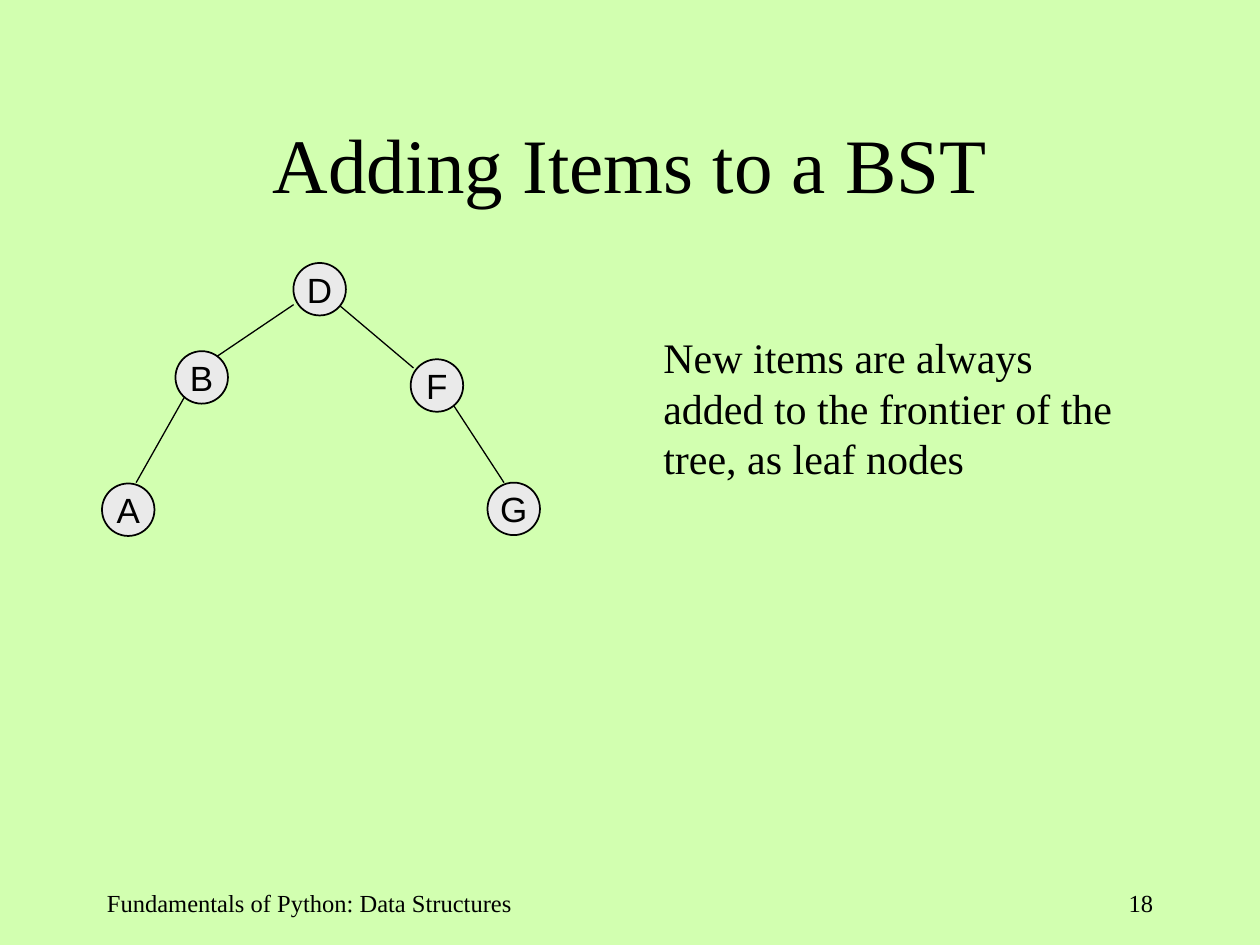
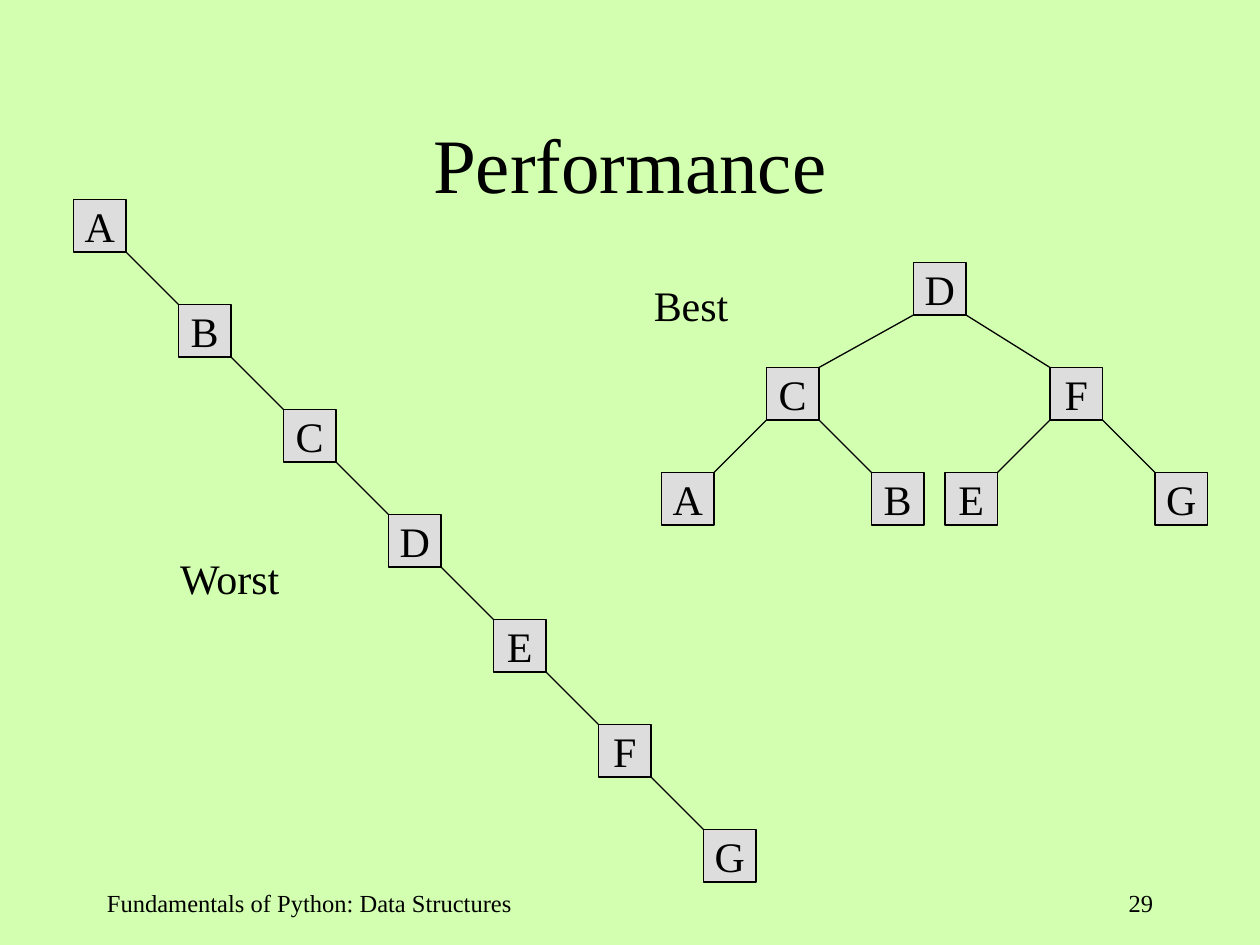
"""Two slides on binary search trees: adding items, and best and worst shapes."""
from dataclasses import dataclass

from lxml import etree
from pptx import Presentation
from pptx.dml.color import RGBColor
from pptx.enum import shapes, text
from pptx.oxml import ns
from pptx.util import Pt


@dataclass(frozen=True)
class Theme:
    """Colours, fonts and sizes shared by the slides."""
    paper: RGBColor = RGBColor(0xD2, 0xFF, 0xB0)
    ink: RGBColor = RGBColor(0, 0, 0)
    circle: RGBColor = RGBColor(0xEA, 0xEA, 0xEA)
    square: RGBColor = RGBColor(0xDD, 0xDD, 0xDD)
    serif: str = "Times New Roman"
    sans: str = "Arial"
    title: float = 44
    body: float = 24
    circle_text: float = 20
    footer: float = 14
    line: float = 0.75
    circle_line: float = 1
    node: float = 30


T = Theme()
LEFT, CENTER, RIGHT = (text.PP_ALIGN.LEFT, text.PP_ALIGN.CENTER,
                       text.PP_ALIGN.RIGHT)
MIDDLE = text.MSO_ANCHOR.MIDDLE


def write(tf, words, size, font=T.serif, align=LEFT):
    """Put one formatted run in the first paragraph of a text frame."""
    p = tf.paragraphs[0]
    p.alignment = align
    r = p.add_run()
    r.text = words
    r.font.name, r.font.size = font, Pt(size)
    r.font.color.rgb = T.ink


def add_text(s, box, words, size=T.body, align=LEFT, wrap=True):
    """Add a text box at box = (left, top, width, height)."""
    tf = s.shapes.add_textbox(*map(Pt, box)).text_frame
    tf.word_wrap = wrap
    write(tf, words, size, align=align)


def add_title(s, box, words):
    """Move and format the title placeholder."""
    sp = s.shapes.title
    sp.left, sp.top, sp.width, sp.height = map(Pt, box)
    tf = sp.text_frame
    tf.auto_size = text.MSO_AUTO_SIZE.NONE
    tf.vertical_anchor = MIDDLE
    write(tf, words, T.title, align=CENTER)


def add_footer(s, box, number):
    """Place the book title at the left and the page number at the right."""
    x, y, w, h = box
    number_w = 150
    add_text(s, (x, y, 276, h), "Fundamentals of Python: Data Structures",
             T.footer)
    add_text(s, (x + w - number_w, y, number_w, h), number, T.footer, RIGHT)


def add_edge(s, start, end):
    """Draw a thin straight edge between two points."""
    c = s.shapes.add_connector(shapes.MSO_CONNECTOR.STRAIGHT,
                               *map(Pt, (*start, *end)))
    c.line.color.rgb, c.line.width = T.ink, Pt(T.line)
    etree.SubElement(c._element.spPr, ns.qn("a:effectLst"))


def add_node(s, at, letter, round_node=False):
    """Draw a lettered tree node, a circle or a square."""
    kind, fill, line, size, font = (
        (shapes.MSO_SHAPE.OVAL, T.circle, T.circle_line, T.circle_text, T.sans)
        if round_node else
        (shapes.MSO_SHAPE.RECTANGLE, T.square, T.line, T.body, T.serif))
    sp = s.shapes.add_shape(kind, *map(Pt, (*at, T.node, T.node)))
    sp.shadow.inherit = False
    sp.fill.solid()
    sp.fill.fore_color.rgb = fill
    sp.line.color.rgb, sp.line.width = T.ink, Pt(line)
    tf = sp.text_frame
    tf.word_wrap = False
    tf.vertical_anchor = MIDDLE
    tf.margin_left = tf.margin_right = tf.margin_top = tf.margin_bottom = 0
    write(tf, letter, size, font, CENTER)


def shift(origin, point):
    """Move a point from tree to slide coordinates."""
    return origin[0] + point[0], origin[1] + point[1]


def circle_tree(s, origin, nodes, edges):
    """Draw edges between given points, then round nodes over them."""
    for start, end in edges:
        add_edge(s, shift(origin, start), shift(origin, end))
    for letter, at in nodes.items():
        add_node(s, shift(origin, at), letter, round_node=True)


def square_tree(s, origin, nodes, links):
    """Draw square nodes, joining parent to child at the facing corners."""
    for parent, child in links:
        (px, py), (cx, cy) = nodes[parent], nodes[child]
        if cx < px:
            cx += T.node
        else:
            px += T.node
        add_edge(s, shift(origin, (px, py + T.node)), shift(origin, (cx, cy)))
    for letter, at in nodes.items():
        add_node(s, shift(origin, at), letter)


def new_slide(prs, title, number):
    """Add a slide with its title and footer."""
    s = prs.slides.add_slide(prs.slide_layouts[5])
    add_title(s, (54, 48, 612, 90), title)
    add_footer(s, (54, 504, 612, 36), number)
    return s


def adding_slide(prs):
    """Show a tree of circles and the rule for new items."""
    s = new_slide(prs, "Adding Items to a BST", "18")
    circle_tree(
        s, (58.3, 150.3),
        {"B": (42, 50.4), "F": (176.4, 55), "A": (0, 126),
         "D": (109.4, 0), "G": (220.3, 125.5)},
        [((109.5, 23.8), (65.5, 53.5)), ((136, 24.5), (178, 60)),
         ((48, 75), (19.5, 125.5)), ((198.7, 78), (229.7, 125.5))])
    add_text(s, (372, 186, 288, 93.6),
             "New items are always added to the frontier of the tree, "
             "as leaf nodes")


def performance_slide(prs):
    """Compare a chain of nodes with a balanced tree."""
    s = new_slide(prs, "Performance", "29")
    step = 2 * T.node
    letters = "ABCDEFG"
    square_tree(s, (42, 114),
                {c: (i * step, i * step) for i, c in enumerate(letters)},
                zip(letters, letters[1:]))
    rows = ({"D": 144}, {"C": 60, "F": 222},
            {"A": 0, "B": 120, "E": 162, "G": 282})
    balanced = {c: (x, i * step) for i, row in enumerate(rows)
                for c, x in row.items()}
    square_tree(s, (378, 150), balanced,
                ("DC", "DF", "CA", "CB", "FE", "FG"))
    add_text(s, (95.8, 312, 72.7, 36), "Worst", wrap=False)
    add_text(s, (366.5, 156, 56.9, 36), "Best", wrap=False)


prs = Presentation()
prs.slide_width, prs.slide_height = Pt(720), Pt(540)
paper = prs.slide_master.background.fill
paper.solid()
paper.fore_color.rgb = T.paper
adding_slide(prs)
performance_slide(prs)
prs.save("out.pptx")
